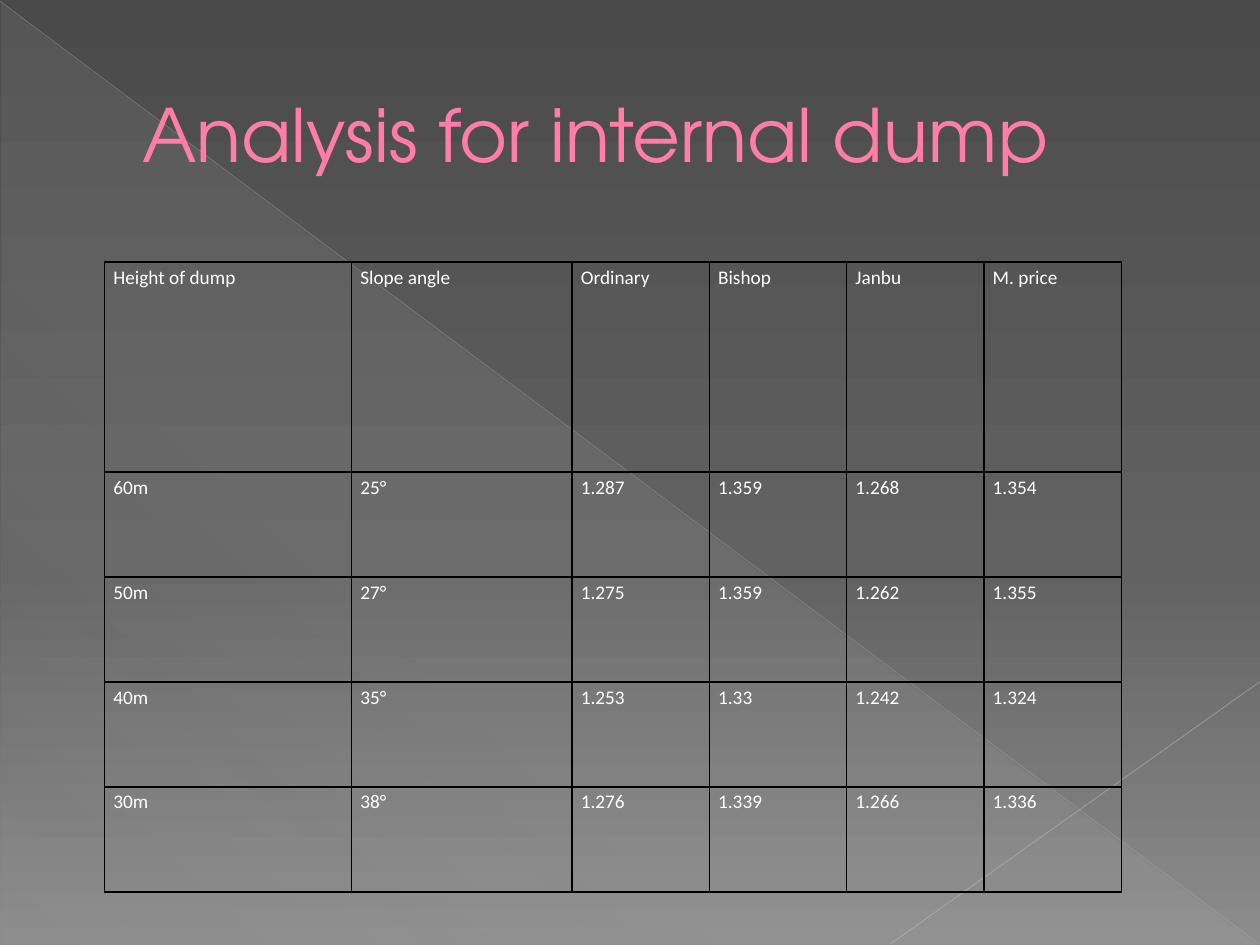
from lxml import etree
from pptx import Presentation
from pptx.dml.color import RGBColor
from pptx.enum.shapes import MSO_CONNECTOR, MSO_SHAPE
from pptx.enum.text import MSO_ANCHOR, MSO_AUTO_SIZE, PP_ALIGN
from pptx.oxml import parse_xml
from pptx.oxml.ns import nsdecls, qn
from pptx.util import Inches, Pt

STRAIGHT = MSO_CONNECTOR.STRAIGHT
TRIANGLE = MSO_SHAPE.RIGHT_TRIANGLE
MIDDLE = MSO_ANCHOR.MIDDLE
NO_FIT = MSO_AUTO_SIZE.NONE
LEFT = PP_ALIGN.LEFT

COLOURS = {
    "title": "FF7DA7", "title edge": "B12761", "cell text": "FFFFFF",
    "border": "000000", "haze": "D2D2D2", "diagonal": "BFBFBF",
    "corner": "C6C6C6", "top": "4A4A4A", "middle": "626262", "bottom": "8C8C8C",
}
TITLE_FONT = {"name": "TeX Gyre Adventor", "size": Pt(42), "bold": False}
CELL_FONT = {"name": "Calibri", "size": Pt(11), "bold": False}
CELL_MARGINS = {"margin_left": Inches(0.07), "margin_right": Inches(0.07),
                "margin_top": 0, "margin_bottom": 0}
CELL_SPACING = {"line_spacing": 1.15, "space_after": Pt(10)}

COLUMNS = [1.96, 1.75] + [1.09] * 4
ROW_SHARES = [2, 1, 1, 1, 1]
RESULTS = [
    ["Height of dump", "Slope angle", "Ordinary", "Bishop", "Janbu", "M. price"],
    ["60m", "25°", "1.287", "1.359", "1.268", "1.354"],
    ["50m", "27°", "1.275", "1.359", "1.262", "1.355"],
    ["40m", "35°", "1.253", "1.33", "1.242", "1.324"],
    ["30m", "38°", "1.276", "1.339", "1.266", "1.336"],
]


def apply(target, values):
    for name, value in values.items():
        setattr(target, name, value)


def colour(name):
    return RGBColor.from_string(COLOURS[name])


def solid_xml(name):
    return f'<a:solidFill><a:srgbClr val="{COLOURS[name]}"/></a:solidFill>'


def set_alpha(solid, percent):
    etree.SubElement(solid[0], qn("a:alpha"), val=str(percent * 1000))


def set_gradient(fill, owner, stops, angle):
    """Fill with (position, colour name, opacity) stops, in percent."""
    fill.solid()
    marks = "".join(
        f'<a:gs pos="{position * 1000}"><a:srgbClr val="{COLOURS[name]}">'
        f'<a:alpha val="{opacity * 1000}"/></a:srgbClr></a:gs>'
        for position, name, opacity in stops)
    solid = owner.find(qn("a:solidFill"))
    owner.replace(solid, parse_xml(
        f'<a:gradFill {nsdecls("a")} rotWithShape="1"><a:gsLst>{marks}</a:gsLst>'
        f'<a:lin ang="{angle * 60000}" scaled="0"/></a:gradFill>'))


def add_line(page, start, end, name, width, opacity):
    line = page.shapes.add_connector(STRAIGHT, *map(Inches, start + end))
    line.line.color.rgb = colour(name)
    line.line.width = Pt(width)
    properties = line.element.spPr
    set_alpha(properties.find(qn("a:ln")).find(qn("a:solidFill")), opacity)
    etree.SubElement(properties, qn("a:effectLst"))


def add_backdrop(page):
    # Vertical gradient
    fill = page.background.fill
    fill.solid()
    set_gradient(fill, page.element.find(".//" + qn("p:bgPr")),
                 [(0, "top", 100), (60, "middle", 100), (100, "bottom", 100)], 90)
    # Hazy triangle with its diagonal, and the corner line
    haze = page.shapes.add_shape(TRIANGLE, *map(Inches, (0.01, 0.02, 9.98, 7.48)))
    haze.shadow.inherit = False
    haze.line.fill.background()
    set_gradient(haze.fill, haze.element.spPr,
                 [(0, "haze", 10), (70, "haze", 8), (100, "haze", 1)], 133)
    add_line(page, (0, 0.01), (9.99, 7.49), "diagonal", 0.39, 35)
    add_line(page, (10, 5.41), (7.07, 7.49), "corner", 0.47, 45)


def place_title(page, text, box):
    title = page.shapes.title
    apply(title, dict(zip(("left", "top", "width", "height"), map(Inches, box))))
    title.element.getparent().append(title.element)  # in front of the backdrop
    apply(title.text_frame, {"text": text, "vertical_anchor": MIDDLE,
                             "word_wrap": True, "auto_size": NO_FIT})
    para = title.text_frame.paragraphs[0]
    para.alignment = LEFT
    properties = para._p.get_or_add_pPr()
    properties.set("marL", str(Inches(0.53)))
    properties.set("indent", "0")
    span = para.runs[0]
    apply(span.font, TITLE_FONT)
    span.font.color.rgb = colour("title")
    span.font._element.insert(0, parse_xml(
        f'<a:ln {nsdecls("a")} w="{Pt(0.5)}">{solid_xml("title edge")}</a:ln>'))


def format_cell(cell, text):
    apply(cell, CELL_MARGINS)
    properties = cell._tc.get_or_add_tcPr()
    for side in ("lnL", "lnR", "lnT", "lnB"):
        properties.append(parse_xml(
            f'<a:{side} {nsdecls("a")} w="{Pt(1)}">{solid_xml("border")}</a:{side}>'))
    cell.fill.background()
    cell.text = text
    para = cell.text_frame.paragraphs[0]
    apply(para, CELL_SPACING)
    font = para.runs[0].font
    apply(font, CELL_FONT)
    font.color.rgb = colour("cell text")


def add_results(page, box):
    frame = page.shapes.add_table(len(RESULTS), len(COLUMNS), *map(Inches, box))
    table = frame.table
    apply(table, {"first_row": False, "horz_banding": False})
    for column, width in zip(table.columns, COLUMNS):
        column.width = Inches(width)
    for row, share, texts in zip(table.rows, ROW_SHARES, RESULTS):
        row.height = Inches(box[3] * share / sum(ROW_SHARES))
        for cell, text in zip(row.cells, texts):
            format_cell(cell, text)


def main():
    deck = Presentation()
    deck.slide_width, deck.slide_height = Inches(10), Inches(7.5)
    page = deck.slides.add_slide(deck.slide_layouts.get_by_name("Title Only"))
    add_backdrop(page)
    place_title(page, "Analysis for internal dump", (0.5, 0.29, 9, 1.53))
    add_results(page, (0.83, 2.08, sum(COLUMNS), 5))
    deck.save("out.pptx")


if __name__ == "__main__":
    main()
